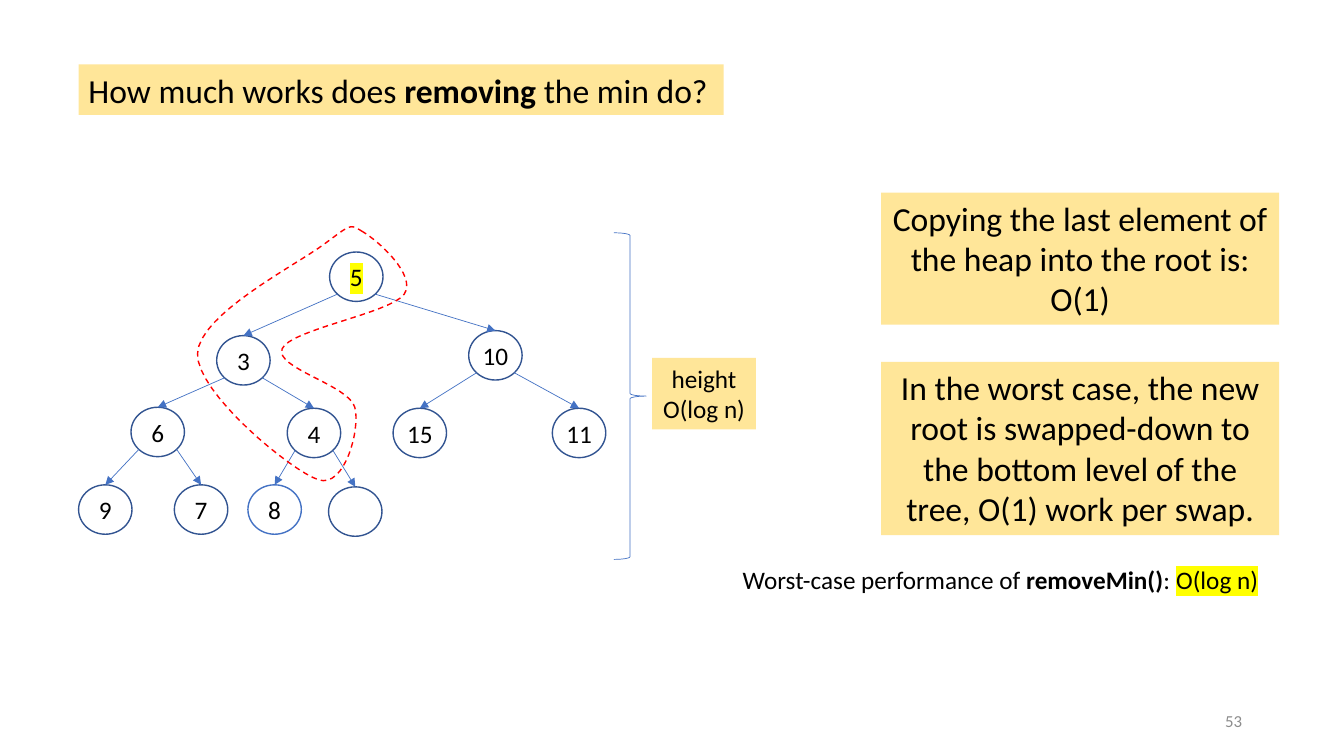
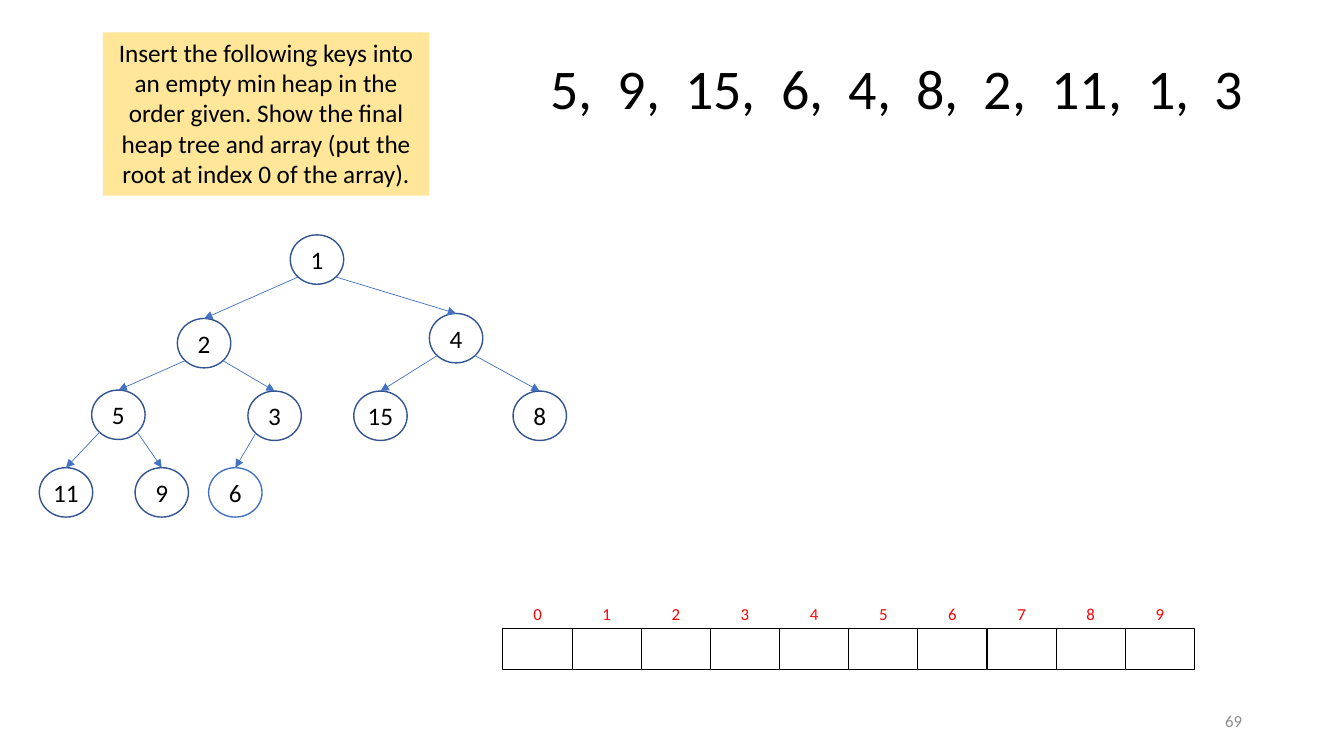
from collections import namedtuple
from lxml.etree import SubElement as Sub
from pptx import Presentation
from pptx.dml.color import RGBColor as Rgb
from pptx.enum.dml import MSO_LINE as Dash
from pptx.enum.shapes import MSO_CONNECTOR as Link, MSO_SHAPE as Kind
from pptx.enum.text import MSO_ANCHOR as Anchor, PP_ALIGN as Align
from pptx.oxml.ns import qn
from pptx.util import Inches, Pt

# Content
TITLE = "How much works does *removing* the min do?"
NOTES = [
    ("Copying the last element of the heap into the root is: O(1)", 19.1, 13.1),
    ("In the worst case, the new root is swapped-down to the bottom level "
     "of the tree, O(1) work per swap.", 35.9, 17.2),
]
HEIGHT = "height\nO(log n)"
COST = "Worst-case performance of *removeMin()*:"
ORDER = "O(log n)"
TASK = ("Insert the following keys into an empty min heap in the order given. "
        "Show the final heap tree and array (put the root at index 0 of the array).")
KEYS = "5,  9,  15,  6,  4,  8,  2,  11,  1,  3"
OLD = ["5", "3", "10", "6", "4", "15", "11", "9", "7", "8", ""]
NEW = ["1", "2", "4", "5", "3", "15", "8", "11", "9", "6"]
CELLS = 10
PAGES = ("53", "69")

# Theme
Theme = namedtuple("Theme", "font ink gold mark ring blue red gray "
                   "huge large body small thin cell bold")
T = Theme("Calibri", "000000", "FFE699", "FFFF00", "325491", "4472C4", "FF0000",
          "8C8C8C", 40, 24, 18, 12, 0.5, 0.75, 1)

# Grid: ten columns and ten rows to the inch
COLS, ROWS = 133.33, 75
NODE = (5.3, 4.9)
SPOTS = [(32.7, 25), (21.5, 33.3), (46.5, 32.8),
         (13, 40.4), (28.5, 40.5), (39, 40.5), (54.8, 40.5),
         (7.8, 48.1), (17.3, 48.1), (24.6, 48.1), (32.6, 48.3)]
LAST = 9        # heap slot with the lighter ring
SHIFT = (-3.9, -1.7)
SITE = 0.3536   # diagonal point of an ellipse, as a share of its size

# Swap route: start, then two handles and an end for each curve
START = (36, 23)
CURVES = [
    ((34.7, 22.2), (34.9, 22.2), (32.2, 24.2)),
    ((29.4, 26.3), (19.7, 31.2), (19.6, 35.1)),
    ((19.5, 39), (29, 46.8), (31.6, 47.6)),
    ((34.2, 48.5), (35.8, 42.5), (35.2, 40.4)),
    ((34.6, 38.2), (27.2, 36.5), (28, 34.6)),
    ((28.8, 32.7), (38.7, 31.1), (40.1, 29.2)),
    ((41.4, 27.3), (37.4, 23.8), START),
]
STEPS = 16


def g(num):
    return int(num * Inches(0.1))


def tint(text):
    return Rgb.from_string(text)


# Text: words between asterisks are bold
def write(shape, text, size=T.body, color=T.ink, align=Align.CENTER, mark=False):
    frame = shape.text_frame
    frame.text = text.replace("*", "")
    for para, line in zip(frame.paragraphs, text.split("\n")):
        para.alignment = align
        if "*" in line:
            para.text = ""
            for part in line.split("*"):
                para.add_run().text = part
        for num, run in enumerate(para.runs):
            font = run.font
            font.name, font.size, font.bold = T.font, Pt(size), num % 2 == 1
            font.color.rgb = tint(color)
            if mark:
                fill = run._r.rPr.find(qn("a:solidFill"))
                glow = Sub(run._r.rPr, qn("a:highlight"))
                Sub(glow, qn("a:srgbClr"), val=T.mark)
                fill.addnext(glow)


def label(slide, area, text, fill=None, wrap=True, anchor=Anchor.TOP, **look):
    box = slide.shapes.add_textbox(*map(g, area))
    box.text_frame.word_wrap = wrap
    box.text_frame.vertical_anchor = anchor
    if fill:
        box.fill.solid()
        box.fill.fore_color.rgb = tint(fill)
    write(box, text, **look)


def trim(shape, color, width):
    shape.shadow.inherit = False
    shape.fill.background()
    shape.line.color.rgb = tint(color)
    shape.line.width = Pt(width)
    return shape


def outline(slide, kind, area, color, width):
    return trim(slide.shapes.add_shape(kind, *map(g, area)), color, width)


def arrow(slide, top, kid, side):
    x = top.left + top.width * (0.5 + side * SITE)
    y = top.top + top.height * (0.5 + SITE)
    line = slide.shapes.add_connector(Link.STRAIGHT, int(x), int(y), 0, 0)
    line.end_connect(kid, 0)
    line.line.color.rgb = tint(T.blue)
    line.line.width = Pt(T.thin)
    Sub(line.line._get_or_add_ln(), qn("a:tailEnd"), type="triangle")
    Sub(line._element.spPr, qn("a:effectLst"))


# Heap: the parent of slot i is slot (i - 1) // 2
def tree(slide, keys, shift=(0, 0)):
    nodes = []
    for num, (key, (x, y)) in enumerate(zip(keys, SPOTS)):
        color = T.blue if num == LAST else T.ring
        node = outline(slide, Kind.OVAL, (x + shift[0], y + shift[1], *NODE),
                       color, T.bold)
        frame = node.text_frame
        frame.margin_left = frame.margin_right = 0
        frame.margin_top = frame.margin_bottom = 0
        frame.word_wrap = False
        frame.vertical_anchor = Anchor.MIDDLE
        write(node, key, mark=keys is OLD and num == 0)
        if num:
            arrow(slide, nodes[(num - 1) // 2], node, -1 if num % 2 else 1)
        nodes.append(node)


def route(slide):
    dots, at = [], START
    for one, two, end in CURVES:
        for step in range(1, STEPS + 1):
            t = step / STEPS
            u = 1 - t
            dots.append(tuple(
                g(u**3 * a + 3 * u * u * t * b + 3 * u * t * t * c + t**3 * d)
                for a, b, c, d in zip(at, one, two, end)))
        at = end
    pen = slide.shapes.build_freeform(g(START[0]), g(START[1]), 1.0)
    pen.add_line_segments(dots, close=True)
    trim(pen.convert_to_shape(), T.red, T.bold).line.dash_style = Dash.DASH


def array(slide, left=49.9, top=62.4, span=68.6):
    wide = span / CELLS
    for num in range(CELLS):
        x = left + num * wide
        outline(slide, Kind.RECTANGLE, (x, top, wide, 4), T.ink, T.cell)
        label(slide, (x, top - 3, wide, 3), str(num), size=T.small, color=T.red)


def page(deck, number):
    slide = deck.slides.add_slide(deck.slide_layouts[6])
    label(slide, (94.2, 69.5, 30, 4), number, size=T.small, color=T.gray,
          align=Align.RIGHT, anchor=Anchor.MIDDLE)
    return slide


def remove(deck):
    slide = page(deck, PAGES[0])
    tree(slide, OLD)
    label(slide, (7.8, 6.4, 64, 5), TITLE, T.gold, size=T.large, align=Align.LEFT)
    for text, top, tall in NOTES:
        label(slide, (87.4, top, 39.5, tall), text, T.gold, size=T.large)
    route(slide)
    outline(slide, Kind.RIGHT_BRACE, (60.9, 23.1, 3.2, 32.4), T.blue, T.thin)
    label(slide, (72.7, 55.5, 44.7, 4), COST, align=Align.LEFT)
    label(slide, (115.7, 55.5, 10.2, 4), ORDER, wrap=False, align=Align.LEFT,
          mark=True)
    label(slide, (64.7, 35.5, 10.3, 7.1), HEIGHT, T.gold)


def insert(deck):
    slide = page(deck, PAGES[1])
    array(slide)
    label(slide, (10.2, 3.2, 32.4, 16.2), TASK, T.gold)
    tree(slide, NEW, SHIFT)
    label(slide, (53.6, 4.8, 71.4, 7.7), KEYS, wrap=False, size=T.huge,
          align=Align.LEFT)


def main():
    deck = Presentation()
    deck.slide_width, deck.slide_height = g(COLS), g(ROWS)
    remove(deck)
    insert(deck)
    deck.save("out.pptx")


if __name__ == "__main__":
    main()
